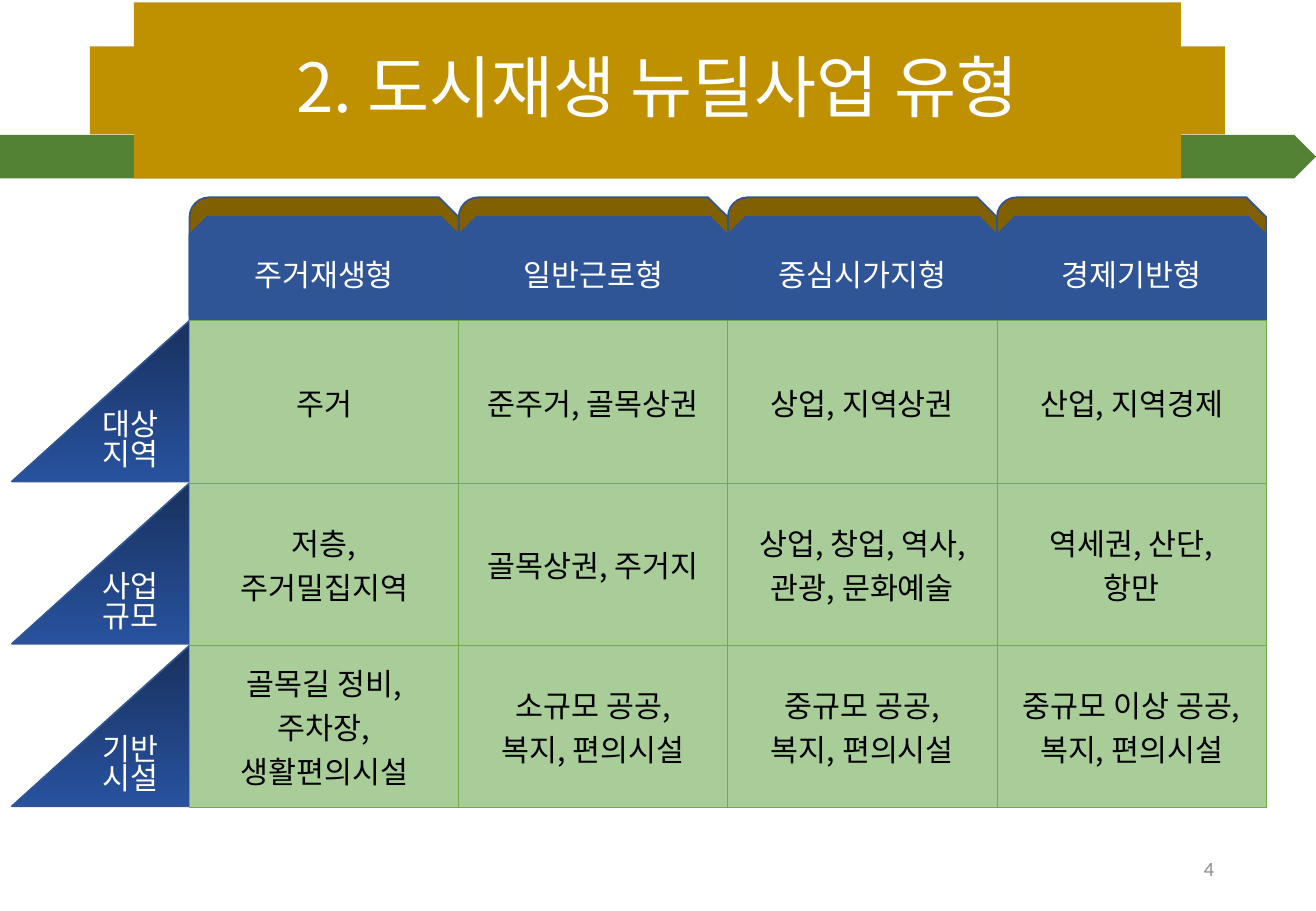
from lxml.etree import SubElement
from pptx import Presentation
from pptx.dml.color import RGBColor
from pptx.enum.shapes import MSO_SHAPE
from pptx.enum.text import MSO_ANCHOR, PP_ALIGN
from pptx.oxml.ns import qn
from pptx.util import Inches, Pt

COLORS = {
    "gold": "BF9000", "green": "548235", "brown": "806000", "blue": "2F5597",
    "outline": "325491", "shade": "18315E", "light": "28529E", "cell": "A9CD99",
    "border": "70AD47", "white": "FFFFFF", "black": "000000", "gray": "8C8C8C",
}
KOREAN = "Noto Sans CJK KR"
TYPES = ["주거재생형", "일반근로형", "중심시가지형", "경제기반형"]
TOPICS = ["대상지역", "사업규모", "기반시설"]
DETAILS = [
    ["주거", "준주거, 골목상권", "상업, 지역상권", "산업, 지역경제"],
    ["저층,\v주거밀집지역", "골목상권, 주거지",
     "상업, 창업, 역사,\v관광, 문화예술", "역세권, 산단,\v항만"],
    ["골목길 정비,\v주차장,\v생활편의시설", "소규모 공공,\n복지, 편의시설",
     "중규모 공공,\n복지, 편의시설", "중규모 이상 공공,\v복지, 편의시설"],
]


def color(name):
    return RGBColor.from_string(COLORS[name])


def write(frame, text, size=18, tint="white", font=KOREAN,
          align=PP_ALIGN.CENTER, spacing=None):
    """Fill a text frame; a newline starts a paragraph, a vertical tab a line."""
    frame.text = text
    frame.word_wrap = True
    for para in frame.paragraphs:
        para.alignment = align
        if spacing:
            para.line_spacing = spacing
        for span in para.runs:
            span.font.size = Pt(size)
            span.font.name = font
            span.font.color.rgb = color(tint)
            SubElement(span.font._element, qn("a:ea"), typeface=font)


class Board:
    """Current slide, with a grid whose origin is the table's top left corner."""
    left, top, column, row = 1.56, 2.64, 2.215, 1.337

    def __init__(self, deck):
        self.deck = deck
        self.page = deck.slides.add_slide(deck.slide_layouts[6])

    def share(self, left, top, width, height):
        """Turn percentages of the slide's size into lengths."""
        across, down = self.deck.slide_width, self.deck.slide_height
        return [int(part * whole / 100) for part, whole in
                zip((left, top, width, height), (across, down) * 2)]

    def grid(self, column, row, columns, rows):
        return [Inches(self.left + column * self.column),
                Inches(self.top + row * self.row),
                Inches(columns * self.column), Inches(rows * self.row)]

    def shape(self, kind, place, fill, line=None):
        shape = self.page.shapes.add_shape(kind, *place)
        shape.shadow.inherit = False
        shape.fill.solid()
        shape.fill.fore_color.rgb = color(fill)
        if line:
            shape.line.color.rgb = color(line)
            shape.line.width = Pt(1)
        else:
            shape.line.fill.background()
        return shape

    def label(self, place, text, **style):
        frame = self.page.shapes.add_textbox(*place).text_frame
        write(frame, text, **style)
        frame.vertical_anchor = MSO_ANCHOR.MIDDLE

    def tab(self, column, text):
        self.shape(MSO_SHAPE.SNIP_ROUND_RECTANGLE,
                   self.grid(column, -0.76, 1, 0.73), "brown", "outline")
        front = self.shape(MSO_SHAPE.SNIP_2_SAME_RECTANGLE,
                           self.grid(column, -0.64, 1, 0.66), "blue", "outline")
        write(front.text_frame, text)

    def wedge(self, row, text):
        wedge = self.shape(MSO_SHAPE.RIGHT_TRIANGLE,
                           self.grid(-0.66, row, 0.66, 0.99), "blue", "outline")
        wedge._element.spPr.xfrm.set("flipH", "1")
        wedge.fill.gradient()
        wedge.fill.gradient_angle = 270
        for stop, name in zip(wedge.fill.gradient_stops, ("shade", "light")):
            stop.color.rgb = color(name)
        write(wedge.text_frame, text, spacing=0.82)

    def table(self, rows):
        count, width = len(rows), len(rows[0])
        table = self.page.shapes.add_table(
            count, width, *self.grid(0, 0, width, count)).table
        table.first_row = table.horz_banding = False
        for row, texts in enumerate(rows):
            for column, text in enumerate(texts):
                self.fill_cell(table.cell(row, column), text)

    def fill_cell(self, cell, text):
        properties = cell._tc.get_or_add_tcPr()
        for side in ("lnL", "lnR", "lnT", "lnB"):
            line = SubElement(properties, qn(f"a:{side}"), w=str(Pt(0.5)))
            solid = SubElement(line, qn("a:solidFill"))
            SubElement(solid, qn("a:srgbClr"), val=COLORS["border"])
        cell.fill.solid()
        cell.fill.fore_color.rgb = color("cell")
        cell.vertical_anchor = MSO_ANCHOR.MIDDLE
        write(cell.text_frame, text, tint="black")


def main():
    deck = Presentation()
    deck.slide_width, deck.slide_height = Inches(10.83), Inches(7.5)
    board = Board(deck)
    banner = board.share(6.83, 0.27, 86.24, 19.33)
    board.shape(MSO_SHAPE.PENTAGON, board.share(0, 14.8, 100, 4.8), "green")
    board.shape(MSO_SHAPE.CROSS, banner, "gold")
    board.label(banner, "2. 도시재생 뉴딜사업 유형", size=40, spacing=0.9)
    board.label(board.share(70.64, 92.67, 22.53, 5.33), "4", size=12,
                tint="gray", font="Calibri", align=PP_ALIGN.RIGHT)
    for row, topic in enumerate(TOPICS):
        board.wedge(row, topic)
    for column, name in reversed(list(enumerate(TYPES))):
        board.tab(column, name)
    board.table(DETAILS)
    deck.save("out.pptx")


if __name__ == "__main__":
    main()
